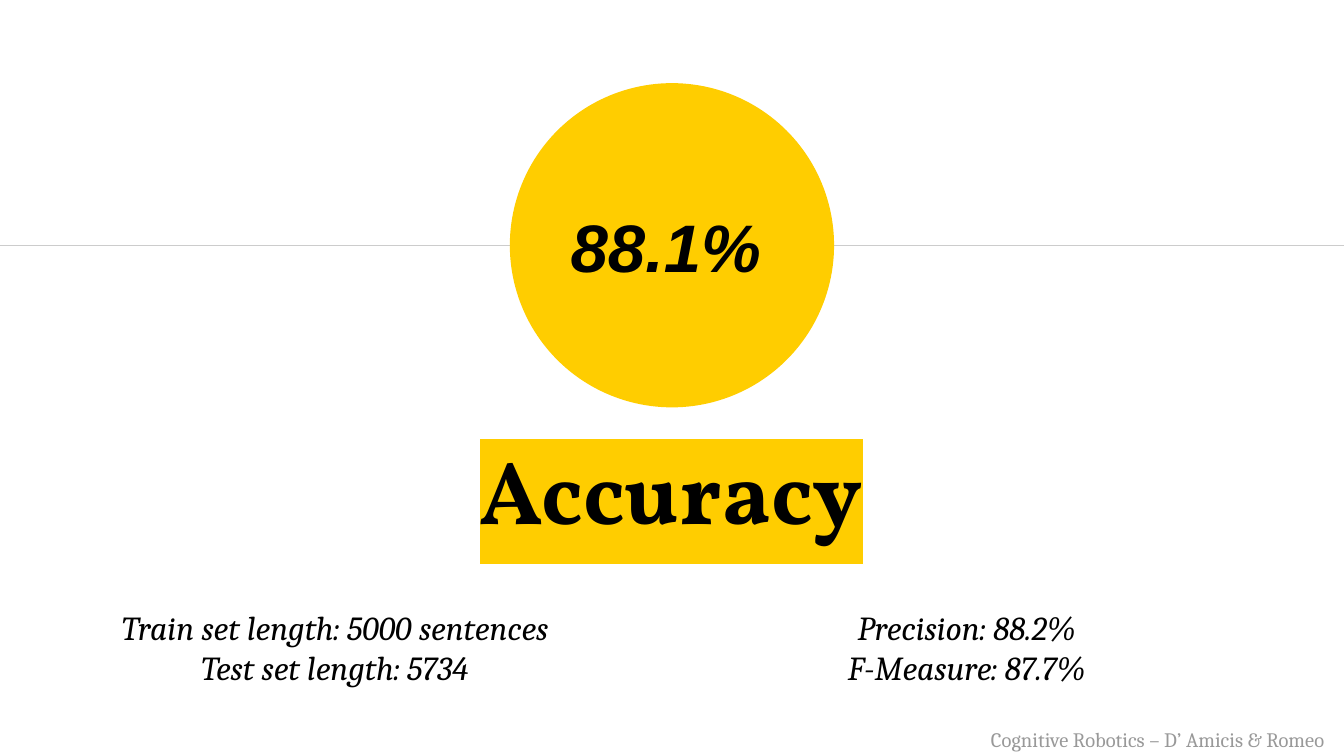
from dataclasses import dataclass

from lxml.etree import SubElement
from pptx import Presentation
from pptx.dml.color import RGBColor
from pptx.enum.shapes import MSO_CONNECTOR, MSO_SHAPE
from pptx.enum.text import MSO_ANCHOR, MSO_AUTO_SIZE, PP_ALIGN
from pptx.oxml.ns import qn
from pptx.util import Emu, Pt

SCALE = 5715  # EMU per px, 160 px to the inch
WIDTH, HEIGHT = 1600, 900


@dataclass(frozen=True)
class Theme:
    ink: str = "000000"
    gold: str = "FFCD00"
    rule: str = "CCCCCC"
    muted: str = "999999"
    title: int = 48
    score: int = 36
    body: int = 18
    foot: int = 11
    head_font: str = "Vollkorn"
    body_font: str = "Cambria"
    score_font: str = "Arial"


THEME = Theme()


def px(*values):
    return [Emu(value * SCALE) for value in values]


def rgb(code):
    return RGBColor.from_string(code)


def write(shape, lines, face, size, color=THEME.ink, bold=False,
          italic=False, align=PP_ALIGN.CENTER, anchor=MSO_ANCHOR.TOP,
          wrap=True, inset=(16, 16)):
    """Fill a shape's text frame, one paragraph per line."""
    frame = shape.text_frame
    frame.word_wrap = wrap
    frame.vertical_anchor = anchor
    frame.margin_left, frame.margin_top = px(*inset)
    frame.margin_right, frame.margin_bottom = px(*inset)
    frame.text = "\n".join(lines)
    for para in frame.paragraphs:
        para.alignment = align
        font = para.font
        font.name, font.size = face, Pt(size)
        font.bold, font.italic = bold, italic
        font.color.rgb = rgb(color)
    return frame


def add_text(slide, box, lines, face, size, **style):
    return write(slide.shapes.add_textbox(*px(*box)), lines, face, size, **style)


def mark(frame, color):
    """Highlight every run of a text frame."""
    for para in frame.paragraphs:
        for run in para.runs:
            light = SubElement(run._r.get_or_add_rPr(), qn("a:highlight"))
            SubElement(light, qn("a:srgbClr"), val=color)


def add_rule(slide, left, right, y):
    line = slide.shapes.add_connector(MSO_CONNECTOR.STRAIGHT, *px(left, y, right, y))
    line.line.color.rgb = rgb(THEME.rule)
    line.line.width = Pt(0.75)
    SubElement(line._element.spPr, qn("a:effectLst"))


def add_disc(slide, x, y, radius):
    """Draw a disc around its centre."""
    box = px(x - radius, y - radius, 2 * radius, 2 * radius)
    disc = slide.shapes.add_shape(MSO_SHAPE.OVAL, *box)
    disc.shadow.inherit = False
    disc.fill.solid()
    disc.fill.fore_color.rgb = rgb(THEME.gold)
    disc.line.fill.background()
    return disc


def main():
    deck = Presentation()
    deck.slide_width, deck.slide_height = px(WIDTH, HEIGHT)
    slide = deck.slides.add_slide(deck.slide_layouts[6])

    # Highlighted title
    title = add_text(slide, (341, 480, 917, 203), ["Accuracy"], THEME.head_font,
                     THEME.title, bold=True, anchor=MSO_ANCHOR.MIDDLE)
    mark(title, THEME.gold)

    # Two columns of details
    columns = [
        (138, ["Train set length: 5000 sentences", "Test set length: 5734"]),
        (176, ["Precision: 88.2%", "F-Measure: 87.7%"]),
    ]
    for col, (height, lines) in enumerate(columns):
        add_text(slide, (23 + col * 752, 706, 752, height), lines,
                 THEME.body_font, THEME.body, italic=True)

    # Score disc over a full-width rule
    middle = 292
    add_rule(slide, -2, WIDTH + 2, middle)
    disc = add_disc(slide, WIDTH // 2, middle, 193)
    write(disc, ["88.1%"], THEME.score_font, THEME.score, bold=True,
          italic=True, align=PP_ALIGN.LEFT, anchor=MSO_ANCHOR.MIDDLE)

    # Footer
    foot = add_text(slide, (1164, 858, 451, 46),
                    ["Cognitive Robotics – D’ Amicis & Romeo"],
                    THEME.body_font, THEME.foot, color=THEME.muted,
                    align=PP_ALIGN.LEFT, wrap=False, inset=(16, 8))
    foot.auto_size = MSO_AUTO_SIZE.SHAPE_TO_FIT_TEXT

    deck.save("out.pptx")


if __name__ == "__main__":
    main()
